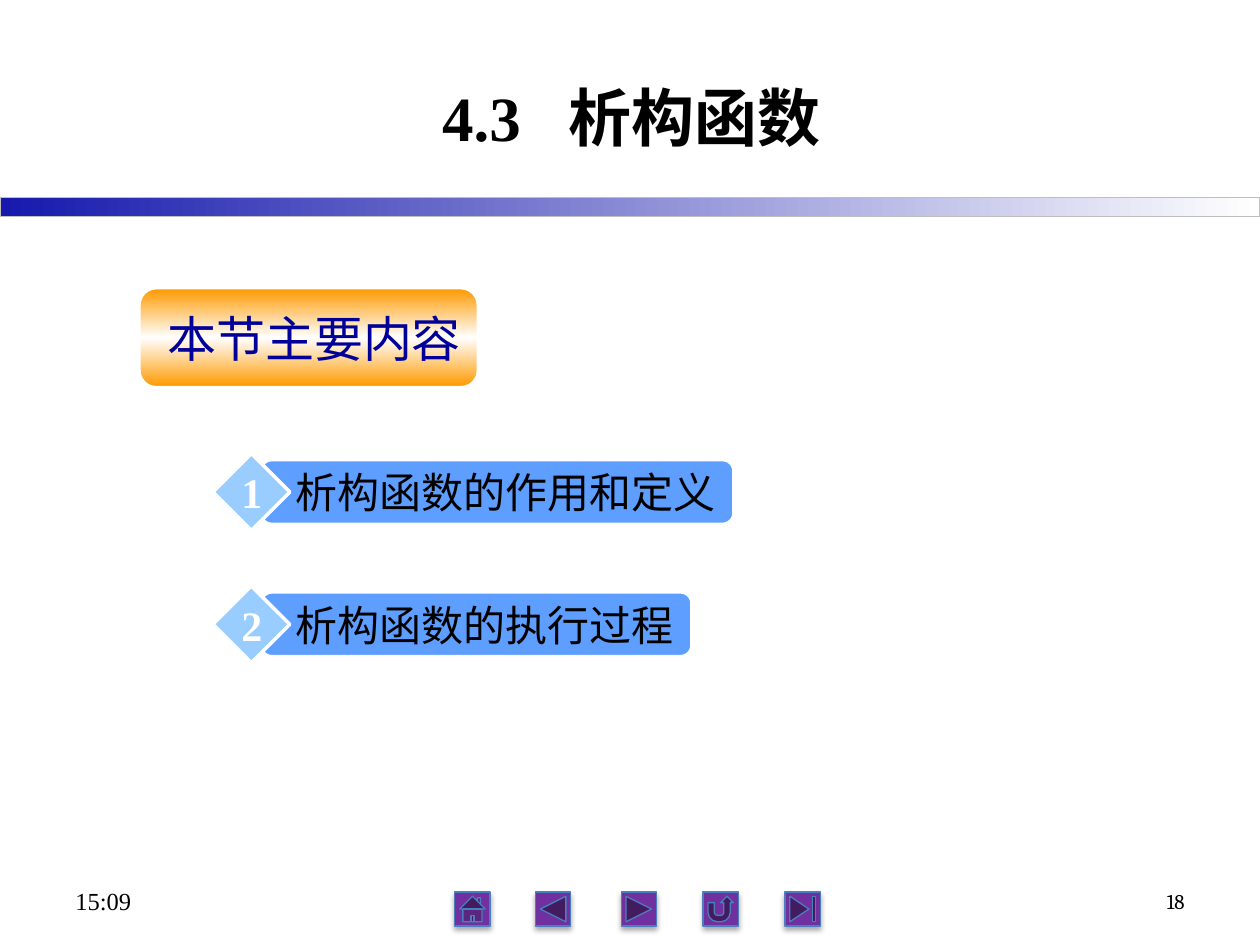
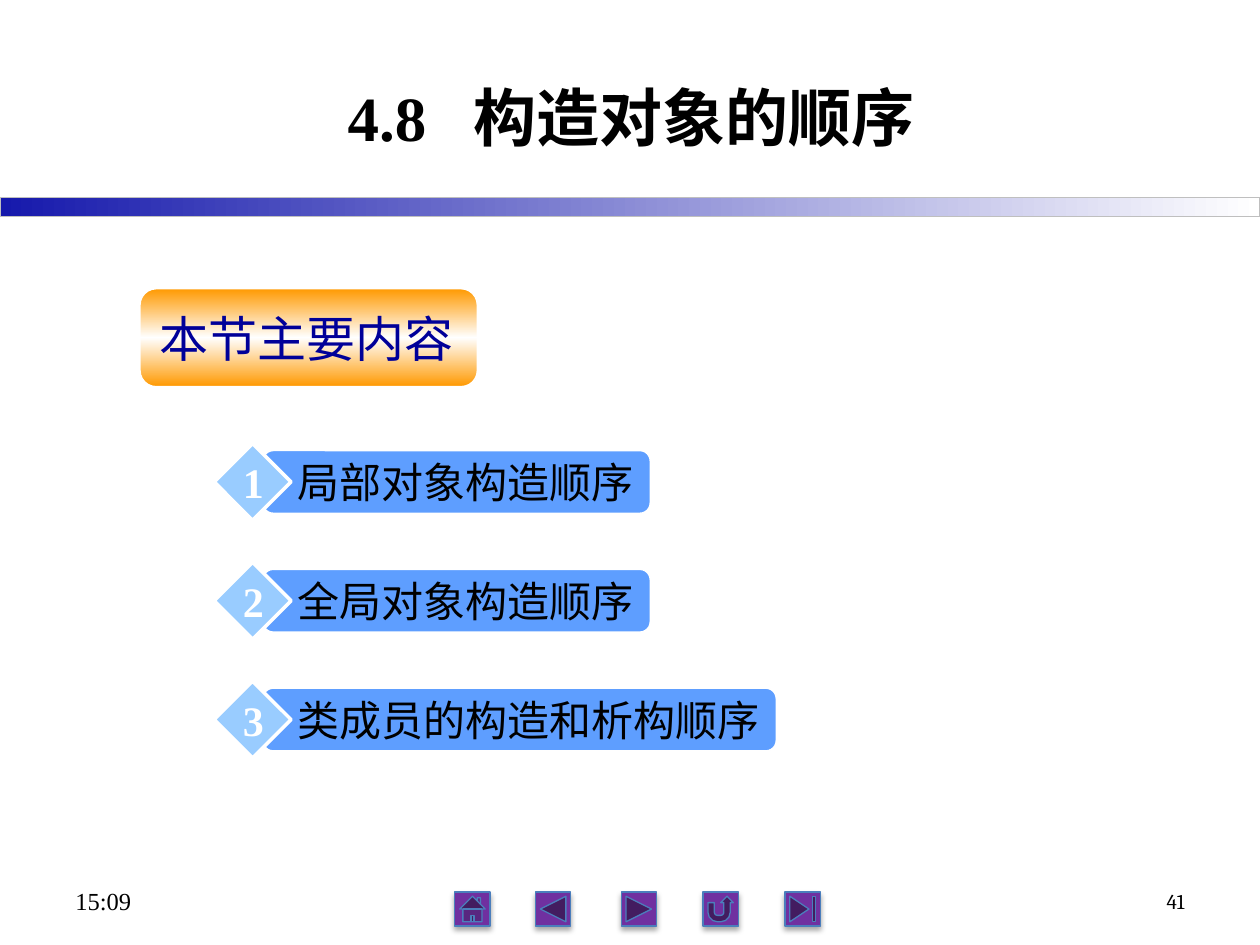
from dataclasses import dataclass
from typing import NamedTuple, Optional

from lxml.etree import SubElement
from pptx import Presentation
from pptx.dml.color import RGBColor
from pptx.enum.shapes import MSO_SHAPE
from pptx.enum.text import MSO_ANCHOR, PP_ALIGN
from pptx.oxml.ns import qn
from pptx.util import Inches, Pt

WIDTH, HEIGHT = Inches(10), Inches(7.5)
COLUMN, ROW = WIDTH / 100, HEIGHT / 75  # grid of 100 columns and 75 rows

BLACK = RGBColor(0x00, 0x00, 0x00)
WHITE = RGBColor(0xFF, 0xFF, 0xFF)
BAND_BLUE = RGBColor(0x16, 0x19, 0xAC)
BAND_EDGE = RGBColor(0xBF, 0xBF, 0xBF)
BUTTON_FILL = RGBColor(0x70, 0x30, 0xA0)
BUTTON_EDGE = RGBColor(0x4B, 0x7E, 0xBC)
ORANGE = RGBColor(0xFF, 0x99, 0x00)
HEADING_BLUE = RGBColor(0x00, 0x00, 0x99)
BAR_BLUE = RGBColor(0x5E, 0x9E, 0xFF)
DIAMOND_BLUE = RGBColor(0x99, 0xCC, 0xFF)

SERIF, SANS, NUMBER_FONT = "Times New Roman", "Arial", "Cambria"
CHINESE = "Noto Sans CJK SC"

CHARACTER = 24 / 7.2  # columns taken by one 24 pt Chinese character
BAR_MARGIN = 4.1
DIAMOND_SIZE = 6.1
BAR_HEIGHT = 5


class Area(NamedTuple):
    """A rectangle in columns and rows of the grid."""
    left: float
    top: float
    width: float
    height: float

    def lengths(self) -> list:
        """Return left, top, width and height as slide lengths."""
        return [round(value * unit) for value, unit in zip(self, (COLUMN, ROW) * 2)]


class Style(NamedTuple):
    """The look of a piece of text."""
    size: float
    font: str = SERIF
    color: RGBColor = BLACK
    bold: bool = False


class Button(NamedTuple):
    """A navigation button and its column."""
    kind: MSO_SHAPE
    left: float


@dataclass
class Section:
    """The contents page of one section."""
    number: str
    title: str
    page_number: str
    heading_left: float
    diamond_left: float
    first_row: float  # row of the first item's centre
    row_step: float
    items: list


TITLE_STYLE = Style(36, bold=True)
HEADING_STYLE = Style(28, SANS, HEADING_BLUE)
ITEM_STYLE = Style(24)
DIGIT_STYLE = Style(24, color=WHITE, bold=True)
CLOCK_STYLE = Style(14)
PAGE_STYLE = Style(12, NUMBER_FONT)

BUTTONS = [
    Button(MSO_SHAPE.ACTION_BUTTON_HOME, 36.1),
    Button(MSO_SHAPE.ACTION_BUTTON_BACK_OR_PREVIOUS, 42.5),
    Button(MSO_SHAPE.ACTION_BUTTON_FORWARD_OR_NEXT, 49.3),
    Button(MSO_SHAPE.ACTION_BUTTON_RETURN, 55.8),
    Button(MSO_SHAPE.ACTION_BUTTON_END, 62.3),
]

SECTIONS = [
    Section("4.3", "析构函数", "18", 12.3, 16.9, 39.05, 10.5,
            ["析构函数的作用和定义", "析构函数的执行过程"]),
    Section("4.8", "构造对象的顺序", "41", 11.7, 17, 38.25, 9.43,
            ["局部对象构造顺序", "全局对象构造顺序", "类成员的构造和析构顺序"]),
]


def format_span(span, style: Style) -> None:
    """Give a run its size, colour, weight and both fonts."""
    span.font.size = Pt(style.size)
    span.font.name = style.font
    span.font.bold = style.bold
    span.font.color.rgb = style.color
    SubElement(span.font._element, qn("a:ea"), typeface=CHINESE)


def add_text(page, area: Area, text: str, style: Style, align=PP_ALIGN.LEFT,
             anchor=MSO_ANCHOR.TOP, wrap: bool = True) -> None:
    """Add a text box with one formatted paragraph."""
    frame = page.shapes.add_textbox(*area.lengths()).text_frame
    frame.word_wrap = wrap
    frame.vertical_anchor = anchor
    frame.text = text
    paragraph = frame.paragraphs[0]
    paragraph.alignment = align
    format_span(paragraph.runs[0], style)


def add_box(page, kind, area: Area, edge: RGBColor, edge_width: float,
            fill: Optional[RGBColor] = None):
    """Add an outlined preset shape without the theme's shadow."""
    box = page.shapes.add_shape(kind, *area.lengths())
    box.shadow.inherit = False
    box.line.color.rgb = edge
    box.line.width = Pt(edge_width)
    if fill is not None:
        box.fill.solid()
        box.fill.fore_color.rgb = fill
    return box


def set_gradient(box, colors: list, angle: float) -> None:
    """Fill a shape with evenly spaced gradient colours."""
    box.fill.gradient()
    box.fill.gradient_angle = angle
    stops = box._element.spPr.find(qn("a:gradFill")).find(qn("a:gsLst"))
    for stop in list(stops):
        stops.remove(stop)
    for index, color in enumerate(colors):
        position = round(100000 * index / (len(colors) - 1))
        stop = SubElement(stops, qn("a:gs"), pos=str(position))
        SubElement(stop, qn("a:srgbClr"), val=str(color))


def add_shadow(box) -> None:
    """Put a soft shadow below a shape."""
    effects = box._element.spPr.find(qn("a:effectLst"))
    shadow = SubElement(effects, qn("a:outerShdw"), blurRad=str(Pt(3.1)),
                        dist=str(Pt(1.8)), dir="5400000", rotWithShape="0")
    color = SubElement(shadow, qn("a:srgbClr"), val=str(BLACK))
    SubElement(color, qn("a:alpha"), val="35000")


def add_frame(page, page_number: str) -> None:
    """Draw the band, navigation buttons, clock and page number."""
    band = add_box(page, MSO_SHAPE.RECTANGLE, Area(0, 15.7, 100, 1.5), BAND_EDGE, 0.75)
    set_gradient(band, [BAND_BLUE, WHITE], 0)
    for button in BUTTONS:
        area = Area(button.left, 70.8, 2.8, 2.7)
        add_shadow(add_box(page, button.kind, area, BUTTON_EDGE, 0.75, BUTTON_FILL))
    add_text(page, Area(5, 69.5, 23.3, 4), "15:09", CLOCK_STYLE, anchor=MSO_ANCHOR.MIDDLE)
    add_text(page, Area(71.7, 69.5, 23.3, 4), page_number, PAGE_STYLE,
             PP_ALIGN.RIGHT, MSO_ANCHOR.MIDDLE)


def set_title(page, number: str, title: str) -> None:
    """Place the title and widen the space after its number."""
    box = page.shapes.title
    box.left, box.top, box.width, box.height = Area(11.1, 3, 78, 12.5).lengths()
    frame = box.text_frame
    frame.vertical_anchor = MSO_ANCHOR.MIDDLE
    paragraph = frame.paragraphs[0]
    paragraph.alignment = PP_ALIGN.CENTER
    for text, font in ((number, SERIF), (" ", SERIF), (title, CHINESE)):
        span = paragraph.add_run()
        span.text = text
        format_span(span, TITLE_STYLE._replace(font=font))
    paragraph.runs[1].font._element.set("spc", "1800")


def add_heading(page, text_left: float) -> None:
    """Draw the orange heading plate."""
    plate = add_box(page, MSO_SHAPE.ROUNDED_RECTANGLE,
                    Area(11.1, 22.9, 26.8, 7.8), WHITE, 1)
    set_gradient(plate, [ORANGE, WHITE, ORANGE], 90)
    add_text(page, Area(text_left, 24, 25.6, 5.3), "本节主要内容", HEADING_STYLE)


def add_item(page, digit: int, text: str, left: float, centre: float) -> None:
    """Draw a numbered diamond with a bar as long as its text."""
    text_width = len(text) * CHARACTER
    top = centre - BAR_HEIGHT / 2
    bar = Area(left + 3.85, top, text_width + BAR_MARGIN, BAR_HEIGHT)
    diamond = Area(left, centre - DIAMOND_SIZE / 2, DIAMOND_SIZE, DIAMOND_SIZE)
    add_box(page, MSO_SHAPE.ROUNDED_RECTANGLE, bar, WHITE, 1, BAR_BLUE)
    add_box(page, MSO_SHAPE.DIAMOND, diamond, WHITE, 2, DIAMOND_BLUE)
    add_text(page, Area(left + 5.6, top, text_width + 2.4, BAR_HEIGHT), text, ITEM_STYLE)
    add_text(page, Area(left + 1.2, top, 3.8, BAR_HEIGHT), str(digit), DIGIT_STYLE,
             PP_ALIGN.CENTER, wrap=False)


def add_section(deck, section: Section) -> None:
    """Build the contents page of a section."""
    page = deck.slides.add_slide(deck.slide_layouts[5])
    add_frame(page, section.page_number)
    set_title(page, section.number, section.title)
    add_heading(page, section.heading_left)
    for index, text in enumerate(section.items):
        centre = section.first_row + index * section.row_step
        add_item(page, index + 1, text, section.diamond_left, centre)


def main() -> None:
    """Build and save the deck."""
    deck = Presentation()
    deck.slide_width, deck.slide_height = WIDTH, HEIGHT
    for section in SECTIONS:
        add_section(deck, section)
    deck.save("out.pptx")


main()
